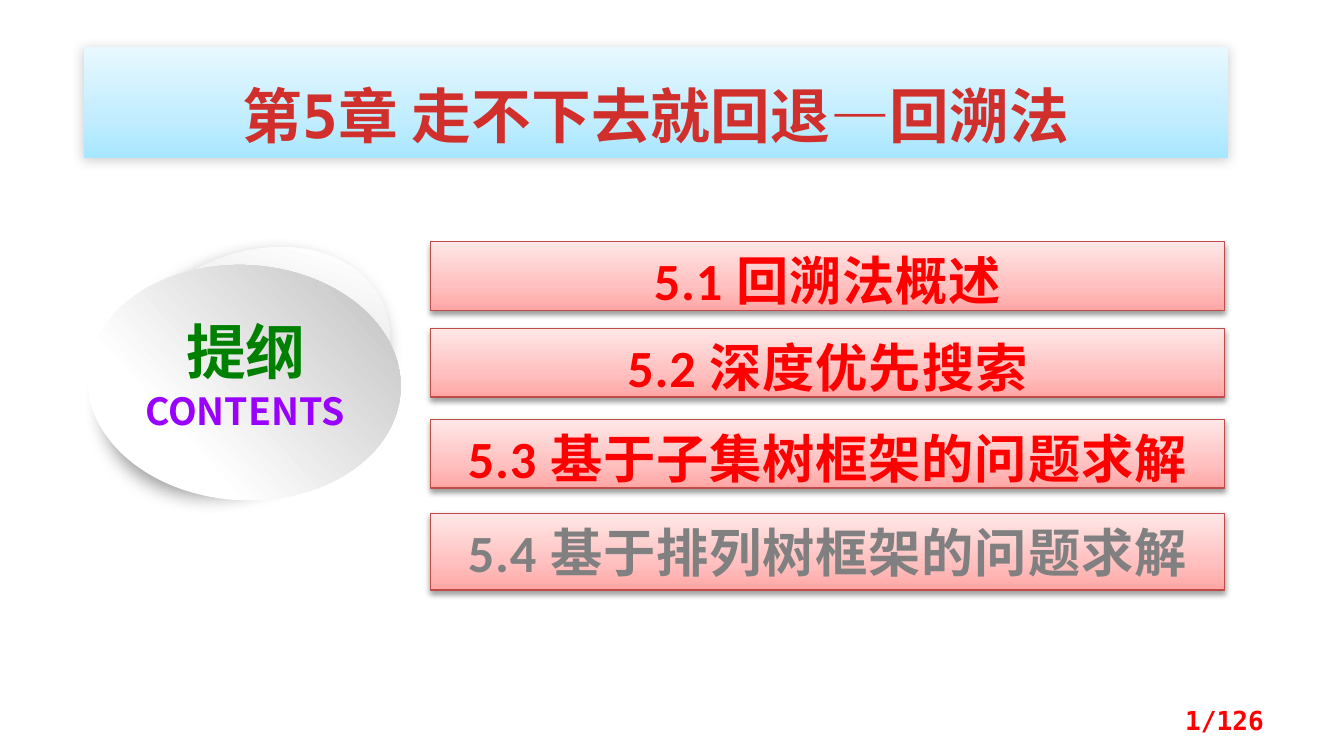
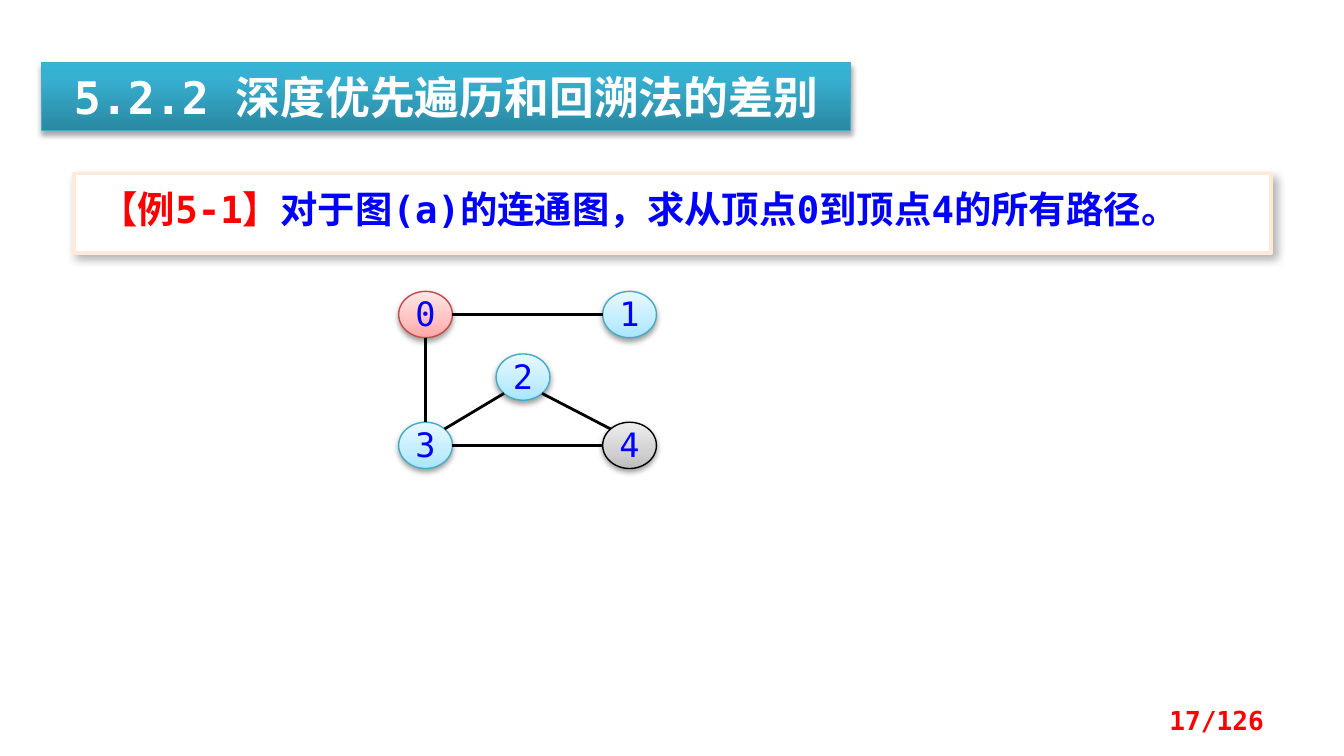
"""Build the chapter outline slide and the graph example slide."""
import copy
from typing import Any, NamedTuple, Optional, Union

import pptx
import pptx.dml.color
import pptx.enum.shapes
import pptx.enum.text
import pptx.oxml
import pptx.oxml.ns
import pptx.util
from lxml import etree

Pt = pptx.util.Pt
KIND = pptx.enum.shapes.MSO_SHAPE
LINK = pptx.enum.shapes.MSO_CONNECTOR
ALIGN = pptx.enum.text.PP_ALIGN
ANCHOR = pptx.enum.text.MSO_ANCHOR


class Fade(NamedTuple):
    """Linear gradient: stops of percent and colour, angle counterclockwise."""
    stops: tuple
    angle: float = 90


class Shade(NamedTuple):
    """Outer shadow: percent opaque, blur and distance in points, direction."""
    alpha: int
    blur: float
    dist: float
    angle: int


class Box(NamedTuple):
    """Place and size in points."""
    left: float
    top: float
    width: float
    height: float


class Look(NamedTuple):
    """Fill, outline and shadow of a shape."""
    fill: Union[str, Fade]
    line: Optional[str] = None
    weight: float = 0.75
    shade: Optional[Shade] = None


class Bar(NamedTuple):
    """One section of the outline."""
    text: str
    top: float
    height: float
    color: str


class Disc(NamedTuple):
    """One tilted ellipse behind the outline label."""
    box: Box
    turn: float
    look: Look


class Node(NamedTuple):
    """One vertex of the graph, placed by its centre."""
    x: float
    y: float
    look: Look


MONO, SANS, BODY = "DejaVu Sans Mono", "Noto Sans CJK SC", "Calibri"
RED, BLUE, GRAY, BLACK, WHITE = "FF0000", "0000FF", "808080", "000000", "FFFFFF"
TOTAL = 126
INSET = (7.2, 3.6, 7.2, 3.6)

SOFT = Shade(38, 3.1, 1.6, 90)
SKY = Fade(((0, "A7E6FF"), (35, "C1EDFF"), (100, "E7F8FF")))
ROSE = Fade(((0, "FFA6A5"), (35, "FFC0BF"), (100, "FFE7E7")))
ASH = Fade(((0, "BDBDBD"), (35, "D1D1D1"), (100, "EEEEEE")))
TEAL = Fade(((0, "2A88A2"), (80, "37B1D2"), (100, "34B4D6")))
RUBY = Fade(((0, "FC7C7A"), (75, "D02F2C"), (100, "C70500")), 270)

PINK = Look(ROSE, "BF4C48", shade=SOFT)
AQUA = Look(SKY, "46AAC5", shade=SOFT)
DARK = Look(ASH, BLACK, shade=SOFT)
TITLE = Look(SKY, shade=Shade(20, 6, 1, 135))
HEAD = Look(TEAL, "46AAC5", shade=Shade(35, 3.1, 1.8, 90))
CARD = Look(WHITE, "FDEADA", 2, Shade(30, 4.5, 2.6, 53))

BARS = (
    Bar("5.1 回溯法概述", 129.5, 36.8, RED),
    Bar("5.2 深度优先搜索", 176, 36.8, RED),
    Bar("5.3 基于子集树框架的问题求解", 224.8, 36.8, RED),
    Bar("5.4 基于排列树框架的问题求解", 275, 41.2, GRAY),
)
DISCS = (
    Disc(Box(73.5, 117.4, 119.5, 159), 62.3,
         Look(Fade(((17, WHITE), (88, "B8B8B8")), 315), shade=Shade(39, 10, 5, 123))),
    Disc(Box(67.7, 121, 126, 168), 273,
         Look(Fade(((29, WHITE), (98, "BFBFBF")), 315))),
)
WIDE, HIGH = 28.8, 24.8
NODES = (
    Node(228, 168.5, PINK),
    Node(337.3, 168.5, AQUA),
    Node(280.2, 202, AQUA),
    Node(228, 238.6, AQUA),
    Node(337.3, 238.6, DARK),
)
EDGES = ((0, 1), (0, 3), (3, 4), (3, 2), (2, 4))


def tint(code: str) -> pptx.dml.color.RGBColor:
    """Turn a hex string into a colour."""
    return pptx.dml.color.RGBColor.from_string(code)


def child(owner: Any, tag: str, **attrs: Any) -> Any:
    """Append a drawing element with the given attributes."""
    return etree.SubElement(owner, pptx.oxml.ns.qn(tag),
                            {key: str(val) for key, val in attrs.items()})


def paint(fill: Any, owner: Any, color: Union[str, Fade]) -> None:
    """Fill with one colour or a gradient."""
    if isinstance(color, str):
        fill.solid()
        fill.fore_color.rgb = tint(color)
        return
    fill.gradient()
    fill.gradient_angle = color.angle
    stops = owner.find(".//" + pptx.oxml.ns.qn("a:gsLst"))
    while len(stops) < len(color.stops):
        stops.append(copy.deepcopy(stops[0]))
    for stop, (place, code) in zip(fill.gradient_stops, color.stops):
        stop.position = place / 100
        stop.color.rgb = tint(code)


def cast(shape: Any, shade: Shade) -> None:
    """Give a shape its outer shadow."""
    effect = shape._element.spPr.find(pptx.oxml.ns.qn("a:effectLst"))
    outer = child(effect, "a:outerShdw", blurRad=int(Pt(shade.blur)),
                  dist=int(Pt(shade.dist)), dir=shade.angle * 60000, rotWithShape=0)
    child(child(outer, "a:srgbClr", val=BLACK), "a:alpha", val=shade.alpha * 1000)


def draw(slide: Any, kind: Any, box: Box, look: Look, turn: float = 0) -> Any:
    """Add a preset shape with its look."""
    shape = slide.shapes.add_shape(kind, *map(Pt, box))
    shape.rotation = turn
    shape.shadow.inherit = False
    paint(shape.fill, shape._element, look.fill)
    if look.line:
        paint(shape.line.fill, shape._element, look.line)
        shape.line.width = Pt(look.weight)
    else:
        shape.line.fill.background()
    if look.shade:
        cast(shape, look.shade)
    return shape


def write(shape: Any, text: str, *, size: float, color: Union[str, Fade],
          font: str = MONO, bold: bool = True, align: Any = ALIGN.CENTER,
          anchor: Any = ANCHOR.TOP, inset: tuple = INSET, lead: Any = None,
          track: float = 0) -> None:
    """Append a run of text to a shape."""
    frame = shape.text_frame
    frame.word_wrap = True
    frame.vertical_anchor = anchor
    (frame.margin_left, frame.margin_top,
     frame.margin_right, frame.margin_bottom) = map(Pt, inset)
    para = frame.paragraphs[0]
    para.alignment = align
    para.line_spacing = lead
    run = para.add_run()
    run.text = text
    run.font.size = Pt(size)
    run.font.bold = bold
    run.font.name = font
    paint(run.font.fill, run._r, color)
    props = run._r.get_or_add_rPr()
    child(props, "a:ea", typeface=SANS)
    if track:
        props.set("spc", str(int(track * 100)))


def label(slide: Any, box: Box, text: str, **form: Any) -> None:
    """Add a text box."""
    write(slide.shapes.add_textbox(*map(Pt, box)), text, **form)


def start(deck: Any, page: int) -> Any:
    """Add a blank slide with its page number."""
    slide = deck.slides.add_slide(deck.slide_layouts[6])
    label(slide, Box(516.2, 375, 168, 21.6), f"{page}/{TOTAL}", size=14, color=RED,
          align=ALIGN.RIGHT, anchor=ANCHOR.MIDDLE)
    return slide


def rim(node: Node, goal: Node) -> tuple[float, float]:
    """Find the point on a node's rim that faces another node."""
    across = (goal.x > node.x) - (goal.x < node.x)
    down = (goal.y > node.y) - (goal.y < node.y)
    scale = 0.5 ** 0.5 if across and down else 1
    return (node.x + across * scale * WIDE / 2, node.y + down * scale * HIGH / 2)


def join(slide: Any, tail: Node, head: Node) -> None:
    """Draw an edge between two nodes."""
    ends = (*rim(tail, head), *rim(head, tail))
    edge = slide.shapes.add_connector(LINK.STRAIGHT, *map(Pt, ends))
    edge.line.color.rgb = tint(BLACK)
    edge.line.width = Pt(1.5)
    child(edge._element.spPr, "a:effectLst")


def outline(deck: Any) -> None:
    """Build the chapter outline."""
    slide = start(deck, 1)
    title = draw(slide, KIND.RECTANGLE, Box(45, 25.2, 613, 59.4), TITLE)
    write(title, "第5章 走不下去就回退—回溯法", size=32, color=RUBY,
          inset=(7.2, 17.3, 7.2, 3.6))
    for bar in BARS:
        shape = draw(slide, KIND.RECTANGLE, Box(230.5, bar.top, 425.5, bar.height), PINK)
        write(shape, bar.text, size=28, font=BODY, color=bar.color, track=0.5)
    for disc in DISCS:
        draw(slide, KIND.OVAL, disc.box, disc.look, disc.turn)
    label(slide, Box(65, 204.5, 132.5, 31.7), "CONTENTS", size=20, font=SANS,
          color="9900FF")
    label(slide, Box(76.3, 165, 111, 46), "提纲", size=32, font=SANS, color="008000")


def graph(deck: Any) -> None:
    """Build the example with its connected graph."""
    slide = start(deck, 17)
    head = draw(slide, KIND.RECTANGLE, Box(22.2, 33.6, 433.6, 36.3), HEAD)
    write(head, "5.2.2 深度优先遍历和回溯法的差别", size=24, color=WHITE)
    card = draw(slide, KIND.RECTANGLE, Box(39.5, 93, 641.5, 42.5), CARD)
    for text, color in (("【例5-1】", RED),
                        ("对于图(a)的连通图，求从顶点0到顶点4的所有路径。", BLUE)):
        write(card, text, size=20, color=color, align=ALIGN.LEFT, lead=0.8,
              inset=(14.4, 11.5, 7.2, 11.5))
    for index, node in enumerate(NODES):
        box = Box(node.x - WIDE / 2, node.y - HIGH / 2, WIDE, HIGH)
        write(draw(slide, KIND.OVAL, box, node.look), str(index), size=18,
              color=BLUE, bold=False, inset=(0, 0, 0, 0), lead=Pt(19))
    for tail, goal in EDGES:
        join(slide, NODES[tail], NODES[goal])


def main() -> None:
    """Build and save the deck."""
    deck = pptx.Presentation()
    deck.slide_width, deck.slide_height = Pt(720), Pt(405)
    outline(deck)
    graph(deck)
    deck.save("out.pptx")


if __name__ == "__main__":
    main()
